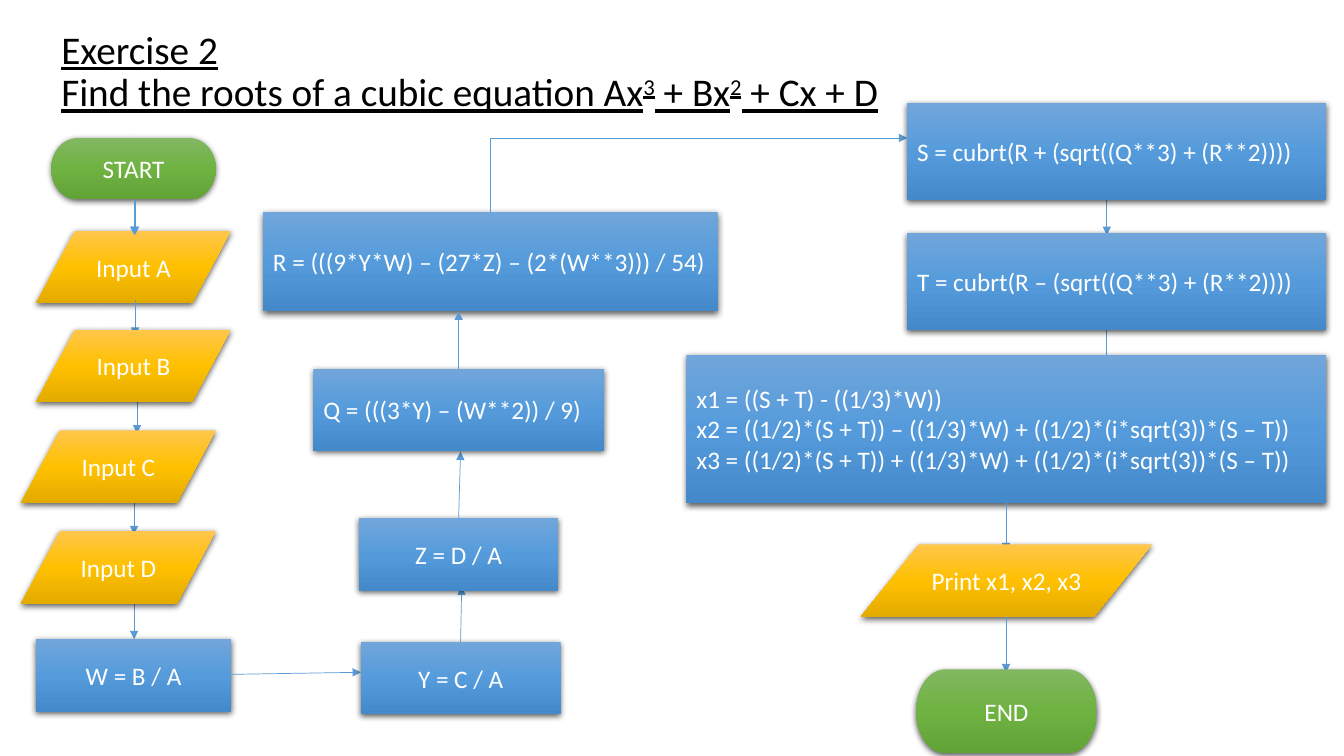
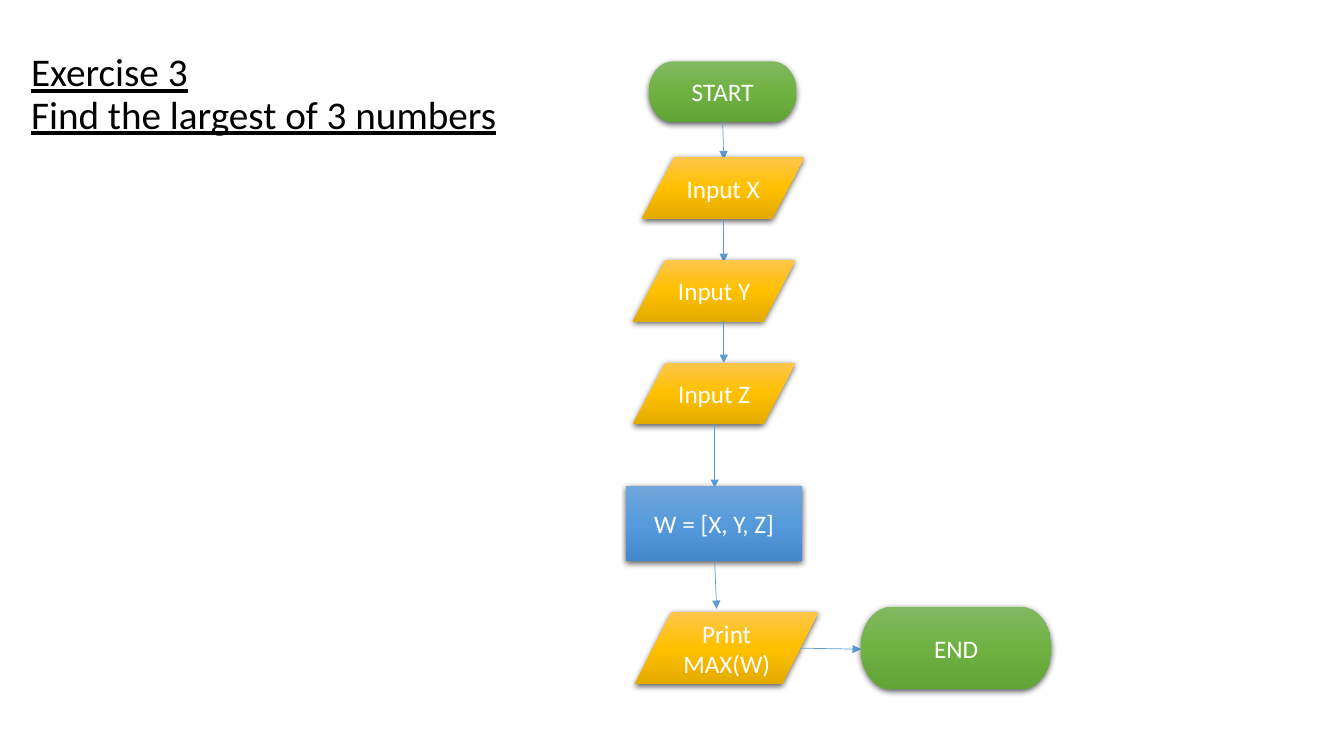
from copy import deepcopy

from lxml.etree import SubElement
from pptx import Presentation
from pptx.dml.color import RGBColor
from pptx.enum.shapes import MSO_CONNECTOR as Link, MSO_SHAPE as Kind
from pptx.enum.text import MSO_ANCHOR as Anchor, PP_ALIGN as Align
from pptx.oxml.ns import qn
from pptx.util import Pt

FONT = "Calibri"
TITLE_COLOR = "000000"
TEXT_COLOR = "FFFFFF"
LINE_COLOR = "5B9BD5"
SHADOW_COLOR = "000000"
GREEN = ("81B861", "6FB242", "62A336")
YELLOW = ("FFC64B", "FFC000", "E3AB00")
BLUE = ("71A6DB", "559BDB", "448ACA")
DOWN = "5400000"
HANGING = Pt(22.5)
DROP = 25.2


def color(code):
    return RGBColor.from_string(code)


def style_span(span, size, code):
    span.font.name = FONT
    span.font.size = Pt(size)
    span.font.color.rgb = color(code)


def add_title(page, left, top, *pieces):
    box = page.shapes.add_textbox(Pt(left), Pt(top), Pt(828), Pt(104.4))
    frame = box.text_frame
    frame.word_wrap = True
    frame.vertical_anchor = Anchor.MIDDLE
    para = frame.paragraphs[0]
    para.line_spacing = 0.9
    para.text = pieces[0]
    for number, piece in enumerate(pieces[1:], 1):
        span = para.add_run()
        span.text = piece
        if number % 2:
            span.font._element.set("baseline", "30000")
    for span in para.runs:
        style_span(span, 28, TITLE_COLOR)
        span.font.underline = True


def fill_gradient(shape, codes):
    shape.fill.gradient()
    shape.fill.gradient_angle = 270
    stop_list = next(shape._element.spPr.iter(qn("a:gsLst")))
    stop_list.insert(1, deepcopy(stop_list[0]))
    for stop, position, code in zip(shape.fill.gradient_stops, (0, 0.5, 1), codes):
        stop.position = position
        stop.color.rgb = color(code)


def cast_shadow(shape):
    shape.shadow.inherit = False
    effects = shape._element.spPr.find(qn("a:effectLst"))
    shadow = SubElement(effects, qn("a:outerShdw"), blurRad=str(Pt(4.5)),
                        dist=str(Pt(1.5)), dir=DOWN, algn="ctr", rotWithShape="0")
    tint = SubElement(shadow, qn("a:srgbClr"), val=str(color(SHADOW_COLOR)))
    SubElement(tint, qn("a:alpha"), val="63000")


def add_node(page, kind, codes, text, left, top, width, height, hanging=False):
    shape = page.shapes.add_shape(kind, Pt(left), Pt(top), Pt(width), Pt(height))
    fill_gradient(shape, codes)
    shape.line.fill.background()
    cast_shadow(shape)
    frame = shape.text_frame
    frame.word_wrap = True
    frame.vertical_anchor = Anchor.MIDDLE
    frame.text = text
    for para in frame.paragraphs:
        para.alignment = Align.LEFT if hanging else Align.CENTER
        if hanging:
            props = para._p.get_or_add_pPr()
            props.set("marL", str(HANGING))
            props.set("indent", str(-HANGING))
        for span in para.runs:
            style_span(span, 18, TEXT_COLOR)


def add_terminal(page, text, *place):
    add_node(page, Kind.FLOWCHART_TERMINATOR, GREEN, text, *place)


def add_data(page, text, *place):
    add_node(page, Kind.FLOWCHART_DATA, YELLOW, text, *place)


def add_process(page, text, *place):
    add_node(page, Kind.RECTANGLE, BLUE, text, *place)


def add_formula(page, text, *place):
    add_node(page, Kind.RECTANGLE, BLUE, text, *place, hanging=True)


def add_arrow(page, x1, y1, x2, y2, kind=Link.STRAIGHT):
    arrow = page.shapes.add_connector(kind, Pt(x1), Pt(y1), Pt(x2), Pt(y2))
    arrow.line.color.rgb = color(LINE_COLOR)
    arrow.line.width = Pt(0.5)
    props = arrow._element.spPr
    SubElement(props.find(qn("a:ln")), qn("a:tailEnd"), type="triangle")
    SubElement(props, qn("a:effectLst"))
    return arrow


def add_corner_arrow(page, x1, y1, x2, y2):
    middle_x, middle_y = (x1 + x2) / 2, (y1 + y2) / 2
    half_width, half_height = abs(y2 - y1) / 2, abs(x2 - x1) / 2
    arrow = add_arrow(page, middle_x + half_width, middle_y + half_height,
                      middle_x - half_width, middle_y - half_height, Link.ELBOW)
    props = arrow._element.spPr
    props.find(qn("a:xfrm")).set("rot", DOWN)
    props.find(qn("a:prstGeom")).set("prst", "bentConnector2")


def build_cubic(page):
    add_title(page, 36.7, 0,
              "Exercise 2\vFind the roots of a cubic equation Ax", "3", " + Bx", "2", " + Cx + D")
    add_terminal(page, "START", 36.7, 98.6, 117.4, 43.9)
    add_data(page, "Input A", 25.9, 164.9, 139, 51.8)
    for x, y in ((95.8, 142.6), (96.5, 142.6), (96.5, 214.6), (97.9, 284.4),
                 (95.8, 356.4), (95.8, 431.3), (790.6, 142.6), (790.6, 234.7)):
        add_arrow(page, x, y, x, y + DROP)
    for name, left, top in (("B", 25.9, 235.4), ("C", 15.1, 307.4), ("D", 15.1, 379.4)):
        add_data(page, f"Input {name}", left, top, 139, 51.8)

    add_process(page, "W = B / A", 25.9, 456.5, 139, 51.8)
    add_arrow(page, 164.9, 481.7, 257.8, 480.2)
    add_process(page, "Y = C / A", 257.8, 458.6, 142.6, 51.8)
    add_arrow(page, 329, 458.6, 329.8, 419)
    add_process(page, "Z = D / A", 256.3, 370.1, 142.6, 51.8)
    add_arrow(page, 327.6, 370.1, 329, 322.6)
    add_formula(page, "Q = (((3*Y) – (W**2)) / 9)", 223.9, 263.5, 207.4, 58.3)
    add_formula(page, "R = (((9*Y*W) – (27*Z) – (2*(W**3))) / 54)", 187.9, 151.2, 324.7, 71.3)
    add_arrow(page, 327.6, 263.5, 327.6, 222.5)
    add_corner_arrow(page, 350.6, 151.2, 648, 98.6)

    for name, sign, top in (("S", "+", 73.4), ("T", "–", 166.3)):
        add_formula(page, f"{name} = cubrt(R {sign} (sqrt((Q**3) + (R**2))))", 648, top, 299.5, 69.8)
    roots = ["x1 = ((S + T) - ((1/3)*W))"]
    for name, sign in (("x2", "–"), ("x3", "+")):
        roots.append(f"{name} = ((1/2)*(S + T)) {sign} ((1/3)*W) + ((1/2)*(i*sqrt(3))*(S – T))")
    add_formula(page, "\n".join(roots), 490.3, 253.4, 457.2, 105.8)
    add_arrow(page, 718.6, 359.3, 718.6, 393.8)
    add_data(page, "Print x1, x2, x3", 614.9, 388.8, 208.1, 51.8)
    add_arrow(page, 718.6, 440.6, 718.6, 480.2)
    add_terminal(page, "END", 654.5, 478.1, 128.9, 59.8)


def build_largest(page):
    add_title(page, 15.1, 15.8, "Exercise 3\vFind the largest of 3 numbers")
    add_terminal(page, "START", 463.7, 43.9, 105.1, 43.2)
    add_arrow(page, 516.2, 87.1, 517, 113.8)
    add_data(page, "Input X", 458.6, 112.3, 115.9, 43.9)
    add_arrow(page, 517, 157, 517, 187.2)
    for name, top in (("Y", 185.8), ("Z", 259.2)):
        add_data(page, f"Input {name}", 452.2, top, 115.9, 43.9)
    add_arrow(page, 517, 229, 517, 259.2)
    add_process(page, "W = [X, Y, Z]", 447.1, 347, 126, 54)
    add_arrow(page, 510.5, 303.1, 510.5, 348.5)
    add_arrow(page, 510.5, 401, 511.9, 434.9)
    add_data(page, "Print MAX(W)", 453.6, 437, 131, 51.8)
    add_arrow(page, 571.7, 463, 614.9, 463.7)
    add_terminal(page, "END", 614.9, 433.4, 136.1, 59)


def main():
    deck = Presentation()
    deck.slide_width, deck.slide_height = Pt(960), Pt(540)
    for build in (build_cubic, build_largest):
        build(deck.slides.add_slide(deck.slide_layouts[6]))
    deck.save("out.pptx")


main()
